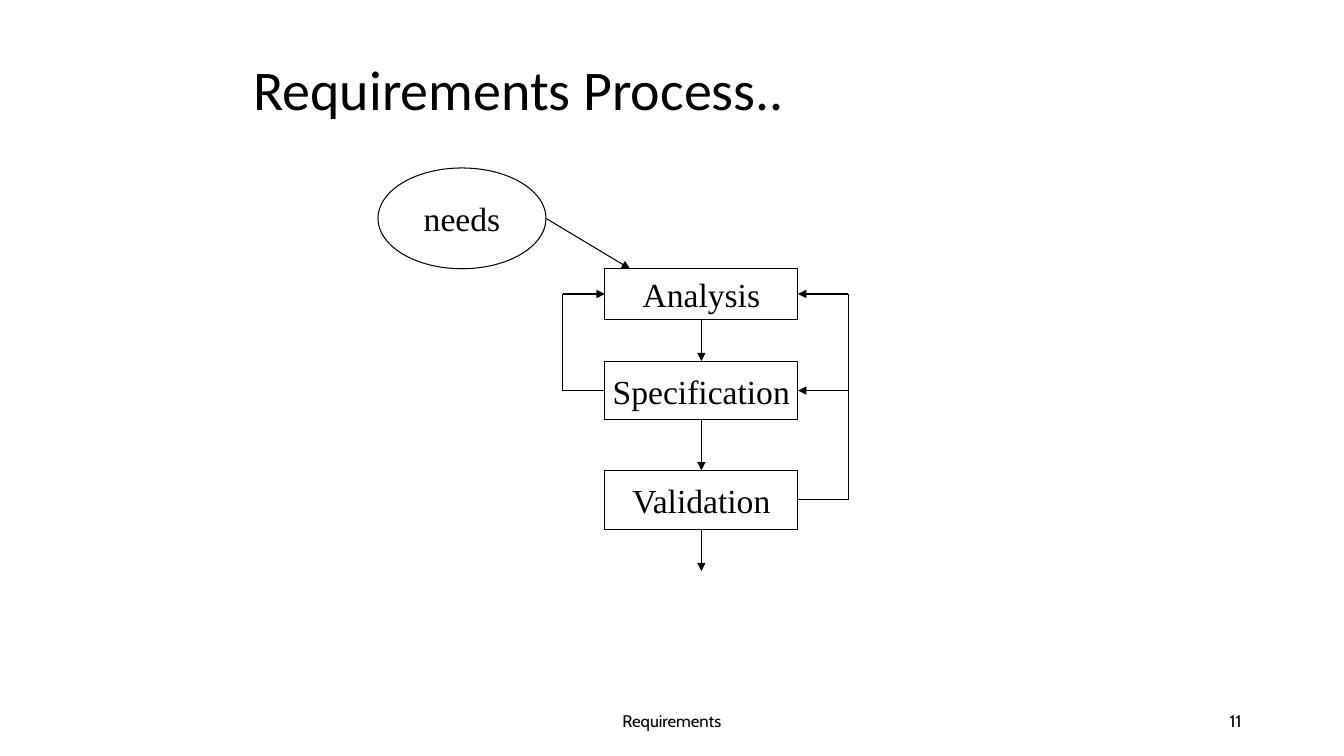
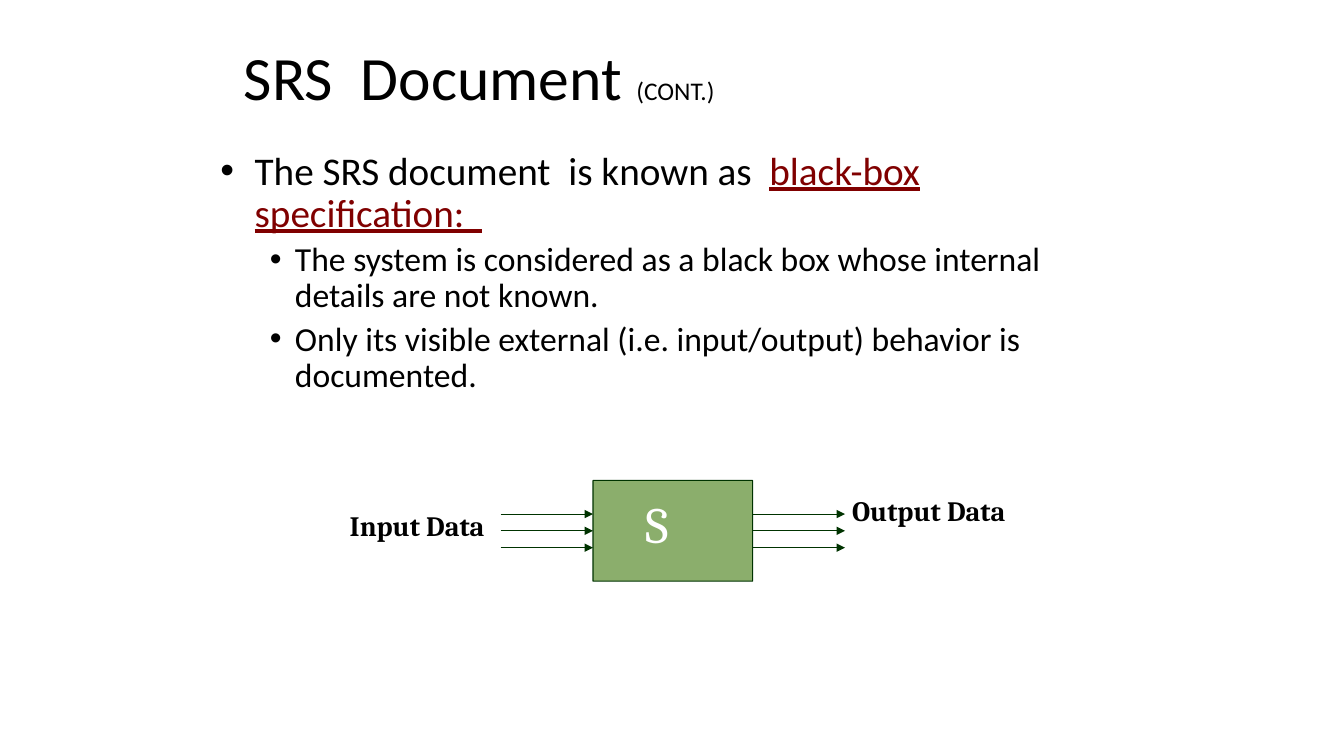
from lxml import etree
from pptx import Presentation
from pptx import util as u
from pptx.dml.color import RGBColor
from pptx.enum import shapes, text
from pptx.oxml import ns

COLUMNS, ROWS = 160, 90
CELL = u.Inches(7.5) / ROWS
BLACK, WHITE, MAROON = "000000", "FFFFFF", "800000"
GREEN, DARK_GREEN = "8BAE6C", "003300"
SANS, SERIF, FOOTER_FONT, LABEL_FONT = "Calibri", "Times New Roman", "Cabin", "Cambria"
LEFT, CENTER, RIGHT = text.PP_ALIGN.LEFT, text.PP_ALIGN.CENTER, text.PP_ALIGN.RIGHT
TOP, MIDDLE = text.MSO_ANCHOR.TOP, text.MSO_ANCHOR.MIDDLE
TOP_SIDE, LEFT_SIDE, BOTTOM_SIDE, RIGHT_SIDE = range(4)
NARROW = (0.02, 0.05, 0.02, 0.05)
WIDE = (0.1, 0.05, 0.1, 0.05)

FOOTERS = [
    ("Requirements", (53, 83.4, 54, 4.8), CENTER),
    ("11", (113, 83.4, 36, 4.8), RIGHT),
]
NEEDS = ("needs", (45, 20, 20, 12))
STEPS = [
    ("Analysis", (72, 32, 23, 6)),
    ("Specification", (72, 43, 23, 7)),
    ("Validation", (72, 56, 23, 7)),
]
LEFT_LANE, RIGHT_LANE = 67, 101

BULLETS = [
    (0, [("The SRS document  is known as  ", {}),
         ("black-box specification:  ", {"color": MAROON, "underline": True})]),
    (1, [("The system is considered as a black box whose internal details are not known.", {})]),
    (1, [("Only its visible external (i.e. input/output) behavior is documented.", {})]),
]
BULLET_LEVELS = [
    {"size": 28, "before": 5.7, "margin": 0.34, "hanging": 0.34},
    {"size": 24, "before": 4.9, "margin": 0.74, "hanging": 0.25},
]
BLACK_BOX = (70.6, 57.2, 19, 12)
ARROW_LENGTH, ARROW_GAP = 11, 2
BOX_LABELS = [
    ("S", (76.6, 59.2, 9, 8.4), {"size": 36.3, "color": WHITE, "before": 20.1}),
    ("Input Data", (41.4, 60.6, 17, 9.2), {"size": 20, "bold": True, "before": 11.5}),
    ("Output Data", (101.2, 58.8, 19, 9.2), {"size": 20, "bold": True, "before": 11.5}),
]


def rgb(color):
    return RGBColor.from_string(color)


def cells(*values):
    return [u.Emu(round(value * CELL)) for value in values]


def add_run(paragraph, words, size=24, font=SANS, color=BLACK, bold=False, underline=False):
    run = paragraph.add_run()
    run.text = words
    run.font.size = u.Pt(size)
    run.font.name = font
    run.font.color.rgb = rgb(color)
    run.font.bold = bold
    run.font.underline = underline


def format_paragraph(paragraph, align=LEFT, spacing=None, before=0):
    paragraph.alignment = align
    paragraph.space_before = u.Pt(before)
    if spacing:
        paragraph.line_spacing = spacing


def add_bullet(paragraph, margin, hanging):
    properties = paragraph._p.get_or_add_pPr()
    properties.set("marL", str(u.Inches(margin)))
    properties.set("indent", str(-u.Inches(hanging)))
    etree.SubElement(properties, ns.qn("a:buFont"), typeface="Arial")
    etree.SubElement(properties, ns.qn("a:buChar"), char="•")


def set_frame(shape, anchor=TOP, insets=WIDE, wrap=True):
    frame = shape.text_frame
    frame.word_wrap = wrap
    frame.vertical_anchor = anchor
    frame.margin_left, frame.margin_top, frame.margin_right, frame.margin_bottom = map(u.Inches, insets)
    return frame


def add_text(slide, words, place, anchor=TOP, insets=WIDE, align=LEFT, spacing=None, before=0, **font):
    frame = set_frame(slide.shapes.add_textbox(*cells(*place)), anchor, insets)
    paragraph = frame.paragraphs[0]
    format_paragraph(paragraph, align, spacing, before)
    add_run(paragraph, words, **font)
    return paragraph


def add_title(slide, words, place, size, **layout):
    return add_text(slide, words, place, anchor=MIDDLE, spacing=0.9, size=size, **layout)


def add_node(slide, kind, place, words="", fill=WHITE, line=BLACK):
    shape = slide.shapes.add_shape(kind, *cells(*place))
    shape.shadow.inherit = False
    shape.fill.solid()
    shape.fill.fore_color.rgb = rgb(fill)
    shape.line.color.rgb = rgb(line)
    shape.line.width = u.Pt(0.75)
    if words:
        paragraph = set_frame(shape, MIDDLE, wrap=False).paragraphs[0]
        format_paragraph(paragraph, CENTER)
        add_run(paragraph, words, font=SERIF)
    return shape


def add_line(slide, start, end, color=BLACK, arrow=True, begin_at=None, end_at=None):
    connector = slide.shapes.add_connector(shapes.MSO_CONNECTOR.STRAIGHT, *cells(*start, *end))
    connector.line.color.rgb = rgb(color)
    connector.line.width = u.Pt(0.75)
    if arrow:
        etree.SubElement(connector.line._get_or_add_ln(), ns.qn("a:tailEnd"), type="triangle")
    etree.SubElement(connector._element.spPr, ns.qn("a:effectLst"))
    if begin_at:
        connector.begin_connect(*begin_at)
    if end_at:
        connector.end_connect(*end_at)


def side(place, number):
    left, top, width, height = place
    return [
        (left + width / 2, top),
        (left, top + height / 2),
        (left + width / 2, top + height),
        (left + width, top + height / 2),
    ][number]


def build_process(slide):
    for words, place, align in FOOTERS:
        add_text(slide, words, place, anchor=MIDDLE, align=align, size=12, font=FOOTER_FONT)
    add_title(slide, "Requirements Process..", (29, 5, 102, 12), 40)
    words, needs_place = NEEDS
    add_node(slide, shapes.MSO_SHAPE.OVAL, needs_place, words)
    places = [place for _, place in STEPS]
    nodes = [add_node(slide, shapes.MSO_SHAPE.RECTANGLE, place, words) for words, place in STEPS]

    add_line(slide, side(needs_place, RIGHT_SIDE), (75, places[0][1]))
    for index in range(len(nodes) - 1):
        add_line(slide, side(places[index], BOTTOM_SIDE), side(places[index + 1], TOP_SIDE),
                 begin_at=(nodes[index], BOTTOM_SIDE), end_at=(nodes[index + 1], TOP_SIDE))
    exit_x, exit_y = side(places[-1], BOTTOM_SIDE)
    add_line(slide, (exit_x, exit_y), (exit_x, exit_y + 5), begin_at=(nodes[-1], BOTTOM_SIDE))

    for source, targets, lane, edge in [(1, [0], LEFT_LANE, LEFT_SIDE), (2, [1, 0], RIGHT_LANE, RIGHT_SIDE)]:
        start = side(places[source], edge)
        add_line(slide, start, (lane, start[1]), arrow=False, begin_at=(nodes[source], edge))
        add_line(slide, (lane, start[1]), (lane, side(places[0], edge)[1]), arrow=False)
        for target in targets:
            end = side(places[target], edge)
            add_line(slide, (lane, end[1]), end, end_at=(nodes[target], edge))


def build_black_box(slide):
    title = add_title(slide, "SRS  Document ", (28.8, 2.2, 102.4, 14.9), 44, insets=NARROW, before=9.1)
    add_run(title, "(CONT.)", size=18.1)

    frame = set_frame(slide.shapes.add_textbox(*cells(26, 17.4, 107.3, 60.4)), insets=NARROW)
    for index, (level, runs) in enumerate(BULLETS):
        paragraph = frame.add_paragraph() if index else frame.paragraphs[0]
        style = BULLET_LEVELS[level]
        paragraph.level = level
        format_paragraph(paragraph, spacing=0.9, before=style["before"])
        add_bullet(paragraph, style["margin"], style["hanging"])
        for words, font in runs:
            add_run(paragraph, words, size=style["size"], **font)

    box = add_node(slide, shapes.MSO_SHAPE.ROUNDED_RECTANGLE, BLACK_BOX, fill=GREEN, line=DARK_GREEN)
    box.adjustments[0] = 0.002
    left, middle = side(BLACK_BOX, LEFT_SIDE)
    right = left + BLACK_BOX[2]
    for step in (-1, 0, 1):
        y = middle + step * ARROW_GAP
        add_line(slide, (left - ARROW_LENGTH, y), (left, y), DARK_GREEN,
                 end_at=None if step else (box, LEFT_SIDE))
        add_line(slide, (right, y), (right + ARROW_LENGTH, y), DARK_GREEN,
                 begin_at=None if step else (box, RIGHT_SIDE))
    for words, place, style in BOX_LABELS:
        add_text(slide, words, place, insets=NARROW, spacing=0.85, font=LABEL_FONT, **style)


def main():
    presentation = Presentation()
    presentation.slide_width, presentation.slide_height = cells(COLUMNS, ROWS)
    for build in (build_process, build_black_box):
        build(presentation.slides.add_slide(presentation.slide_layouts[6]))
    presentation.save("out.pptx")


if __name__ == "__main__":
    main()
